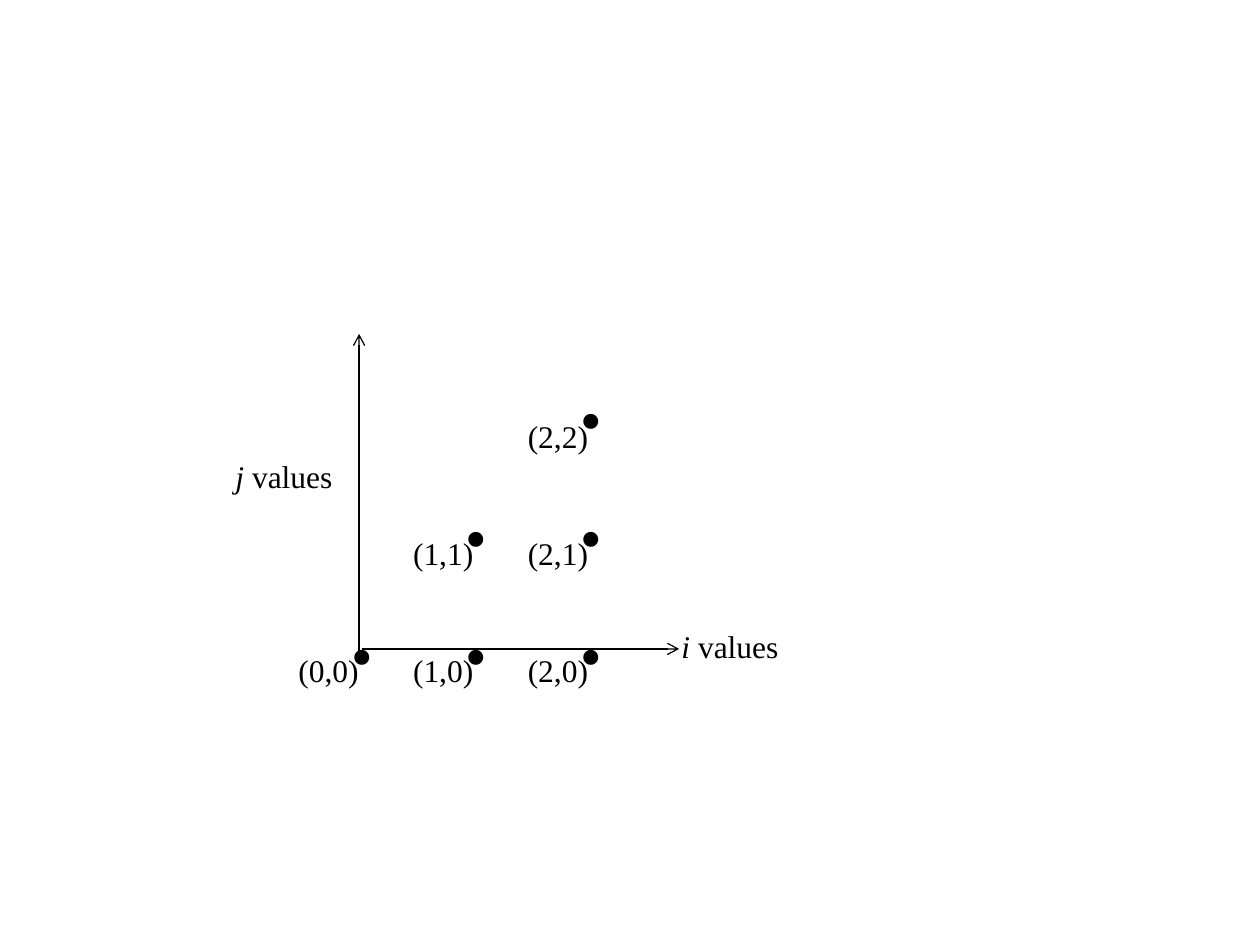
from pptx import Presentation
from pptx.dml.color import RGBColor
from pptx.enum.shapes import MSO_CONNECTOR
from pptx.enum.text import MSO_AUTO_SIZE
from pptx.oxml.ns import qn
from pptx.util import Inches, Pt
from lxml import etree

STRAIGHT = MSO_CONNECTOR.STRAIGHT
FIT_TEXT = MSO_AUTO_SIZE.SHAPE_TO_FIT_TEXT
COLORS = {"ink": "000000"}
FONT = "Times New Roman"
LABEL_SIZE, DOT_SIZE = 18, 72

# Lattice of (i, j) points: i runs right, j runs up
COLUMN, ROW = 0.91, 0.94
DOT_LEFT, DOT_TOP = 2.65, 4.22
LABEL_LEFT, LABEL_TOP, LABEL_ROW = 2.27, 5.12, 0.93
POINTS = [(i, j) for i in range(3) for j in range(i + 1)]


def ink():
    return RGBColor.from_string(COLORS["ink"])


def add_text(slide, left, top, width, height, pieces, size):
    """Place one line of text; pieces are (words, italic) pairs."""
    box = slide.shapes.add_textbox(*map(Inches, (left, top, width, height)))
    frame = box.text_frame
    frame.word_wrap = False
    frame.auto_size = FIT_TEXT
    for words, italic in pieces:
        run = frame.paragraphs[0].add_run()
        run.text = words
        run.font.name = FONT
        run.font.size = Pt(size)
        run.font.italic = italic
        run.font.color.rgb = ink()


def add_axis(slide, start, end):
    axis = slide.shapes.add_connector(STRAIGHT, *map(Inches, start + end))
    axis.line.color.rgb = ink()
    axis.line.width = Pt(0.75)
    # Open arrowhead at the far end, no shadow
    etree.SubElement(axis.line._get_or_add_ln(), qn("a:tailEnd"), type="arrow")
    etree.SubElement(axis._element.spPr, qn("a:effectLst"))


def add_dot(slide, i, j):
    add_text(slide, DOT_LEFT + i * COLUMN, DOT_TOP - j * ROW, 0.46, 1.31,
             [(".", False)], DOT_SIZE)


def add_point_label(slide, i, j):
    add_text(slide, LABEL_LEFT + i * COLUMN, LABEL_TOP - j * LABEL_ROW,
             0.69, 0.4, [(f"({i},{j})", False)], LABEL_SIZE)


def add_axis_label(slide, left, top, variable):
    add_text(slide, left, top, 0.98, 0.4,
             [(variable, True), (" values", False)], LABEL_SIZE)


def main():
    deck = Presentation()
    deck.slide_width, deck.slide_height = Inches(10), Inches(7.5)
    slide = deck.slides.add_slide(deck.slide_layouts.get_by_name("Blank"))

    # Points
    for i, j in POINTS:
        add_dot(slide, i, j)

    # Axes
    add_axis(slide, (2.87, 5.15), (5.39, 5.15))
    add_axis(slide, (2.85, 5.17), (2.85, 2.65))

    # Labels
    for i, j in POINTS:
        add_point_label(slide, i, j)
    add_axis_label(slide, 5.31, 4.93, "i")
    add_axis_label(slide, 1.77, 3.58, "j")

    deck.save("out.pptx")


main()
